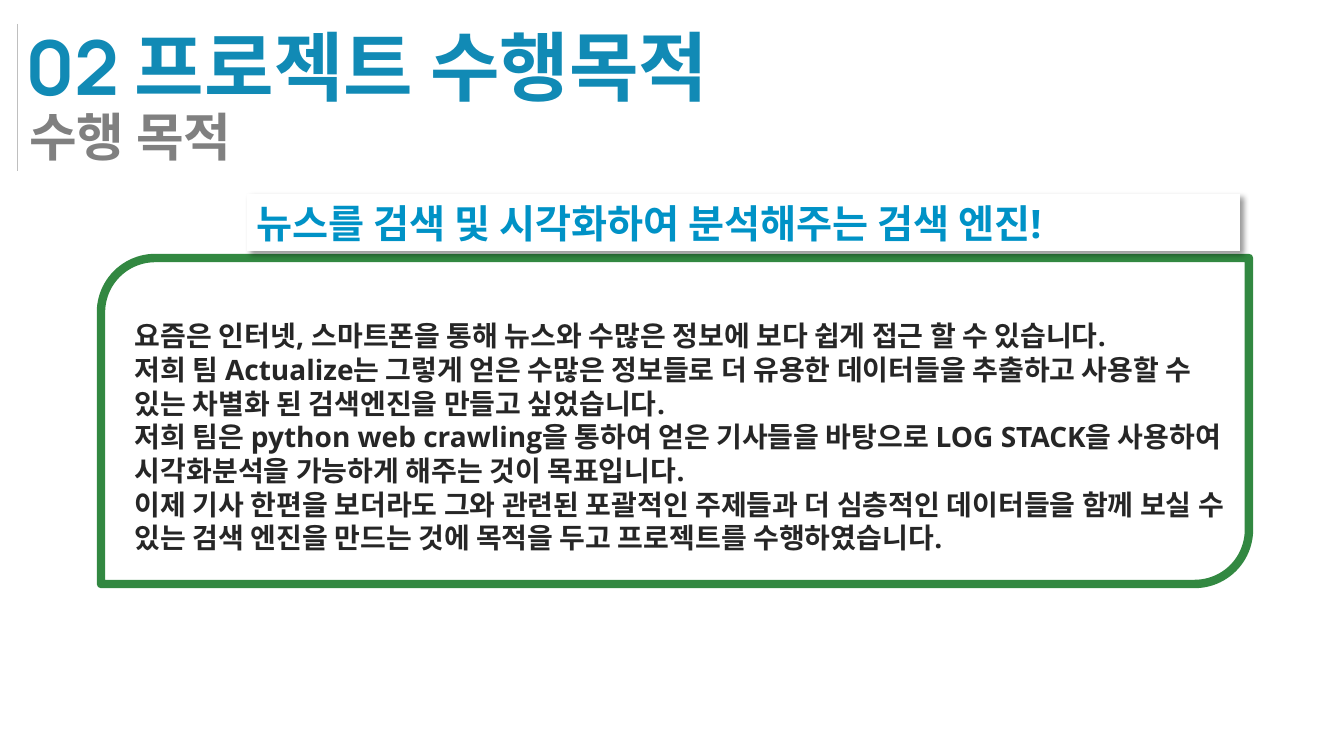
"""Build the project purpose slide: heading, key message and framed explanation."""
from pptx import Presentation
from pptx.dml.color import RGBColor
from pptx.enum.shapes import MSO_CONNECTOR, MSO_SHAPE
from pptx.enum.text import MSO_ANCHOR, MSO_AUTO_SIZE, PP_ALIGN
from pptx.oxml import parse_xml
from pptx.oxml.ns import nsdecls, qn
from pptx.util import Pt

PX = 12192000 / 1344
STRAIGHT = MSO_CONNECTOR.STRAIGHT
FRAME_SHAPE = MSO_SHAPE.ROUND_2_DIAG_RECTANGLE
RECTANGLE = MSO_SHAPE.RECTANGLE
TOP, MIDDLE = MSO_ANCHOR.TOP, MSO_ANCHOR.MIDDLE
LEFT = PP_ALIGN.LEFT
NO_AUTOFIT = MSO_AUTO_SIZE.NONE

EXPLANATION = [
    "요즘은 인터넷, 스마트폰을 통해 뉴스와 수많은 정보에 보다 쉽게 접근 할 수 있습니다.",
    "저희 팀 Actualize는 그렇게 얻은 수많은 정보들로 더 유용한 데이터들을 추출하고 사용할 수 "
    "있는 차별화 된 검색엔진을 만들고 싶었습니다.",
    "저희 팀은 python web crawling을 통하여 얻은 기사들을 바탕으로 LOG STACK을 "
    "사용하여 시각화분석을 가능하게 해주는 것이 목표입니다.",
    "이제 기사 한편을 보더라도 그와 관련된 포괄적인 주제들과 더 심층적인 데이터들을 함께 보실 수 "
    "있는 검색 엔진을 만드는 것에 목적을 두고 프로젝트를 수행하였습니다.",
]


def px(*lengths):
    return [round(length * PX) for length in lengths]


def rgb(hex_color):
    return RGBColor.from_string(hex_color)


prs = Presentation()
prs.slide_width, prs.slide_height = px(1344, 756)
slide = prs.slides.add_slide(prs.slide_layouts[1])
shapes = slide.shapes

frame = shapes.add_shape(FRAME_SHAPE, *px(101, 258, 1148, 326))
frame.shadow.inherit = False
frame.fill.solid()
frame.fill.fore_color.rgb = rgb("FFFFFF")
frame.line.color.rgb = rgb("328841")
frame.line.width = Pt(6)

heading_rule = shapes.add_connector(STRAIGHT, *px(17, 24, 17, 171))
heading_rule.line.color.rgb = rgb("BFBFBF")
heading_rule.line.width = Pt(0.5)
heading_rule._element.spPr.append(parse_xml(f"<a:effectLst {nsdecls('a')}/>"))

title = shapes.title
title.left, title.top, title.width, title.height = px(15, 14, 882, 102)

subtitle = slide.placeholders[1]
subtitle.left, subtitle.top, subtitle.width, subtitle.height = px(19, 112, 520, 60)

key_message = shapes.add_shape(RECTANGLE, *px(247, 194, 993, 57))
key_message.fill.solid()
key_message.fill.fore_color.rgb = rgb("FFFFFF")
key_message.line.fill.background()
key_message.shadow.inherit = False
key_message._element.spPr.find(qn("a:effectLst")).append(parse_xml(
    f'<a:outerShdw {nsdecls("a")} blurRad="50800" dist="38100" dir="2700000" '
    'algn="tl" rotWithShape="0"><a:srgbClr val="000000"><a:alpha val="40000"/>'
    "</a:srgbClr></a:outerShdw>"))

explanation = shapes.add_textbox(*px(125, 314, 1129, 248))

texts = [
    (title, ["02 프로젝트 수행목적"], "Manrope", 54, "118AB5", MIDDLE, None),
    (subtitle, ["수행 목적"], "Manrope", 37, "808080", TOP, 0.8),
    (key_message, ["뉴스를 검색 및 시각화하여 분석해주는 검색 엔진!"],
     "Open Sans", 28, "0092C6", MIDDLE, None),
    (explanation, EXPLANATION, "Open Sans", 20, "262626", TOP, Pt(24)),
]
for holder, lines, font_name, size, color, anchor, spacing in texts:
    text_frame = holder.text_frame
    text_frame.word_wrap = True
    text_frame.auto_size = NO_AUTOFIT
    text_frame.vertical_anchor = anchor
    for index, line in enumerate(lines):
        paragraph = text_frame.add_paragraph() if index else text_frame.paragraphs[0]
        paragraph.alignment = LEFT
        paragraph.space_before = Pt(0)
        paragraph.line_spacing = spacing
        if holder is subtitle:
            properties = paragraph._p.get_or_add_pPr()
            properties.set("marL", "0")
            properties.set("indent", "0")
            properties.append(parse_xml(f"<a:buNone {nsdecls('a')}/>"))
        run = paragraph.add_run()
        run.text = line
        run.font.name = font_name
        run.font.size = Pt(size)
        run.font.bold = True
        run.font.color.rgb = rgb(color)

prs.save("out.pptx")
